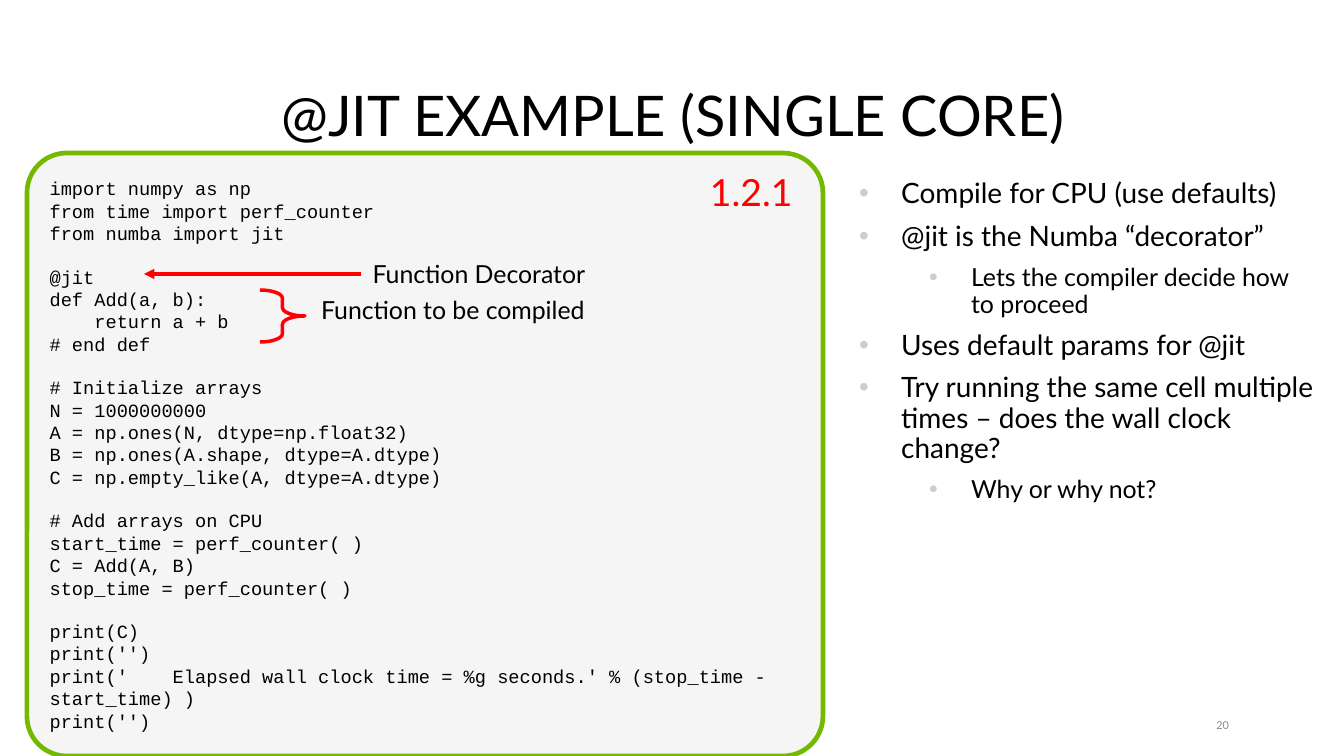
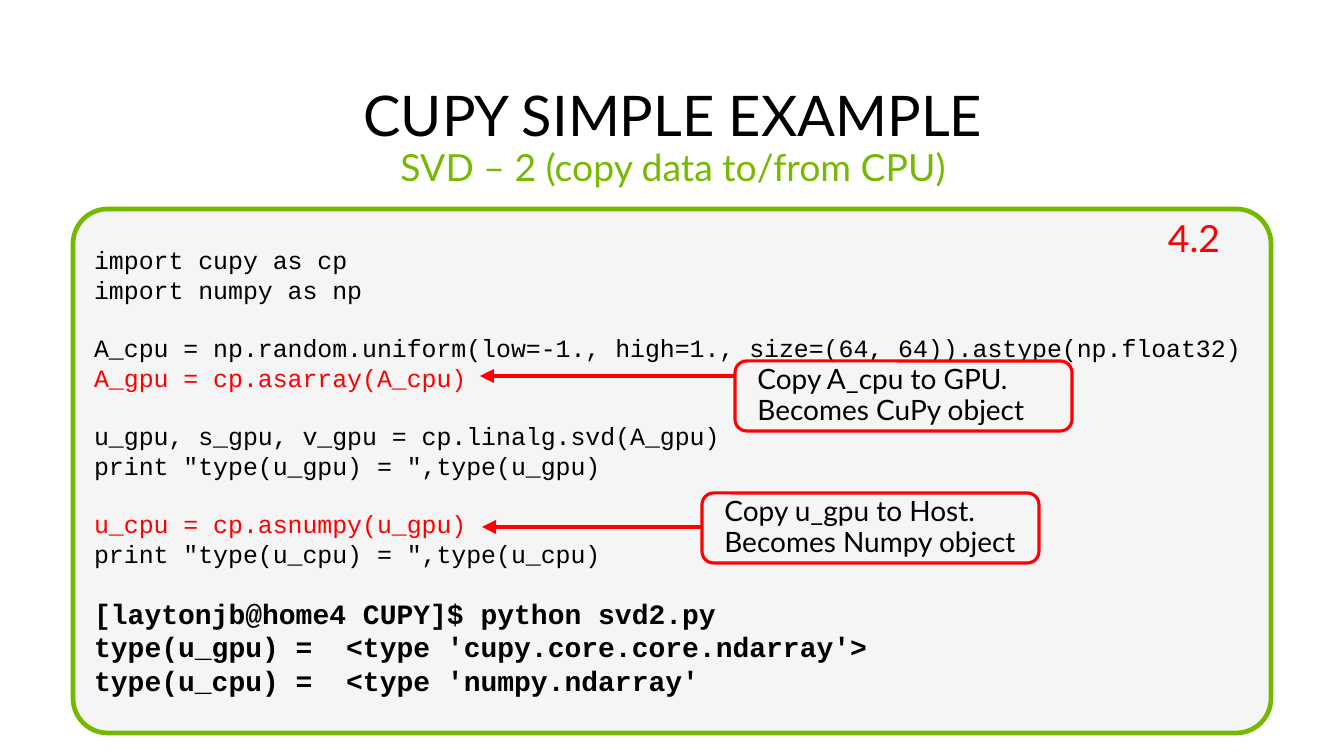
from lxml.etree import SubElement
from pptx import Presentation
from pptx.dml.color import RGBColor
from pptx.enum.shapes import MSO_CONNECTOR as Connector, MSO_SHAPE as Preset
from pptx.enum.text import MSO_ANCHOR as Anchor, MSO_AUTO_SIZE as AutoSize, PP_ALIGN as Align
from pptx.oxml.ns import qn
from pptx.util import Emu, Pt

ADD_CODE = """import numpy as np
from time import perf_counter
from numba import jit

@jit
def Add(a, b):
    return a + b
# end def

# Initialize arrays
N = 1000000000
A = np.ones(N, dtype=np.float32)
B = np.ones(A.shape, dtype=A.dtype)
C = np.empty_like(A, dtype=A.dtype)

# Add arrays on CPU
start_time = perf_counter( )
C = Add(A, B)
stop_time = perf_counter( )

print(C)
print('')
print('    Elapsed wall clock time = %g seconds.' % (stop_time - start_time) )
print('')"""

SVD_CODE = """import cupy as cp
import numpy as np

A_cpu = np.random.uniform(low=-1., high=1., size=(64, 64)).astype(np.float32)
A_gpu = cp.asarray(A_cpu)

u_gpu, s_gpu, v_gpu = cp.linalg.svd(A_gpu)
print "type(u_gpu) = ",type(u_gpu)

u_cpu = cp.asnumpy(u_gpu)
print "type(u_cpu) = ",type(u_cpu)"""

SVD_OUTPUT = """[laytonjb@home4 CUPY]$ python svd2.py
type(u_gpu) =  <type 'cupy.core.core.ndarray'>
type(u_cpu) =  <type 'numpy.ndarray'"""


def px(length):
    return Emu(round(length * 914400 / 112))


def color(hex_code):
    return RGBColor.from_string(hex_code)


class Deck:
    """Holds the shared style and draws each kind of element on the current slide."""

    TEXT_FONT, CODE_FONT = "Lato", "Courier New"
    BLACK, RED, GRAY = "000000", "FF0000", "8C8C8C"
    PANEL, BORDER, SUBTITLE, BULLET = "F5F5F5", "73B900", "76B900", "CDCDCD"
    CODE_LEADING = 1.133

    def __init__(self):
        self.presentation = Presentation()
        self.presentation.slide_width = px(1344)
        self.presentation.slide_height = px(756)
        self.slide = None

    def new_slide(self, title):
        self.slide = self.presentation.slides.add_slide(self.presentation.slide_layouts[1])
        frame = self.placeholder(0, (62, 81, 1222, 73), Anchor.BOTTOM)
        self.add_text_run(frame.paragraphs[0], title, 36, align=Align.CENTER)

    def page_number(self, number):
        self.text((1190, 718, 39, 17), number, 7, self.GRAY, Align.RIGHT, inset=0)

    def add_text_run(self, paragraph, text, size, hex_code=BLACK, align=Align.LEFT,
                     font=TEXT_FONT, bold=False, spacing=0.9):
        paragraph.alignment = align
        paragraph.line_spacing = spacing
        run = paragraph.add_run()
        run.text = text
        run.font.name = font
        run.font.size = Pt(size)
        run.font.bold = bold
        run.font.color.rgb = color(hex_code)

    def prepare(self, frame, anchor=Anchor.MIDDLE):
        frame.word_wrap = True
        frame.auto_size = AutoSize.NONE
        frame.vertical_anchor = anchor
        return frame

    def placeholder(self, index, box, anchor):
        shape = self.slide.placeholders[index]
        shape.left, shape.top, shape.width, shape.height = map(px, box)
        return self.prepare(shape.text_frame, anchor)

    def text(self, box, text, size, hex_code=BLACK, align=Align.LEFT, inset=11):
        frame = self.prepare(self.slide.shapes.add_textbox(*map(px, box)).text_frame)
        frame.margin_left = frame.margin_right = px(inset)
        if not inset:
            frame.margin_top = frame.margin_bottom = 0
        self.add_text_run(frame.paragraphs[0], text, size, hex_code, align)

    def subtitle(self, text):
        paragraph = self.placeholder(1, (62, 144, 1222, 64), Anchor.TOP).paragraphs[0]
        properties = paragraph._p.get_or_add_pPr()
        properties.set("marL", "0")
        properties.set("indent", "0")
        SubElement(properties, qn("a:buNone"))
        paragraph.space_before = Pt(0)
        self.add_text_run(paragraph, text, 24, self.SUBTITLE, Align.CENTER)

    def bullets(self, box, items):
        frame = self.placeholder(1, box, Anchor.TOP)
        for index, (level, text) in enumerate(items):
            paragraph = frame.add_paragraph() if index else frame.paragraphs[0]
            paragraph.level = level
            properties = paragraph._p.get_or_add_pPr()
            properties.set("marL", str(px(112 if level else 42)))
            properties.set("indent", str(-px(42)))
            bullet_color = SubElement(properties, qn("a:buClr"))
            SubElement(bullet_color, qn("a:srgbClr"), val=self.BULLET)
            SubElement(properties, qn("a:buFont"), typeface="Arial")
            SubElement(properties, qn("a:buChar"), char="•")
            paragraph.space_before = Pt(4 if index else 0)
            paragraph.space_after = Pt(4)
            self.add_text_run(paragraph, text, 16 if level else 18)

    def outline(self, preset, box, hex_code, width, fill=None):
        shape = self.slide.shapes.add_shape(preset, *map(px, box))
        shape.shadow.inherit = False
        shape.line.color.rgb = color(hex_code)
        shape.line.width = Pt(width)
        if fill:
            shape.fill.solid()
            shape.fill.fore_color.rgb = color(fill)
        else:
            shape.fill.background()
        return shape

    def code(self, box, size, code, output="", red_starts=()):
        panel = self.outline(Preset.ROUNDED_RECTANGLE, box, self.BORDER, 3, self.PANEL)
        panel.adjustments[0] = 0.066
        frame = self.prepare(panel.text_frame)
        lines = [(line, size, False) for line in code.splitlines()]
        lines += [(line, 18, True) for line in output.splitlines()]
        paragraph, gap = frame.paragraphs[0], 0
        for index, (line, line_size, bold) in enumerate(lines):
            if not line or (bold and not lines[index - 1][2]):
                gap = size * self.CODE_LEADING
            if not line:
                continue
            if index:
                paragraph = frame.add_paragraph()
            paragraph.space_before = Pt(gap)
            gap = 0
            red = line.startswith(red_starts)
            self.add_text_run(paragraph, line, line_size, self.RED if red else self.BLACK,
                              font=self.CODE_FONT, bold=bold, spacing=1.0)

    def arrow(self, start, end, y, width):
        connector = self.slide.shapes.add_connector(
            Connector.STRAIGHT, px(start), px(y), px(end), px(y))
        connector.line.color.rgb = color(self.RED)
        connector.line.width = Pt(width)
        properties = connector._element.spPr
        SubElement(properties.get_or_add_ln(), qn("a:tailEnd"), type="triangle")
        SubElement(properties, qn("a:effectLst"))

    def brace(self, box):
        self.outline(Preset.RIGHT_BRACE, box, self.RED, 2.25).adjustments[0] = 0.183

    def callout(self, left, top, arrow_end, arrow_y, text):
        self.arrow(left, arrow_end, arrow_y, 3)
        shape = self.outline(Preset.ROUNDED_RECTANGLE, (left, top, 337, 70), self.RED, 2)
        frame = self.prepare(shape.text_frame)
        frame.margin_left, frame.margin_right = px(19), 0
        self.add_text_run(frame.paragraphs[0], text, 18)


def main():
    deck = Deck()

    deck.new_slide("@JIT EXAMPLE (SINGLE CORE)")
    deck.page_number("20")
    deck.code((27, 153, 796, 603), 12, ADD_CODE)
    deck.arrow(361, 144, 274, 2.25)
    deck.text((360, 256, 238, 38), "Function Decorator", 16, align=Align.CENTER)
    deck.brace((260, 290, 45, 52))
    deck.text((304, 292, 298, 38), "Function to be compiled", 16, align=Align.CENTER)
    deck.bullets((848, 174, 477, 548), [
        (0, "Compile for CPU (use defaults)"),
        (0, "@jit is the Numba “decorator”"),
        (1, "Lets the compiler decide how to proceed"),
        (0, "Uses default params for @jit"),
        (0, "Try running the same cell multiple times – does the wall clock change?"),
        (1, "Why or why not?"),
    ])
    deck.text((699, 168, 110, 52), "1.2.1", 24, deck.RED)

    deck.new_slide("CUPY SIMPLE EXAMPLE")
    deck.code((73, 209, 1198, 524), 16, SVD_CODE, SVD_OUTPUT, ("A_gpu =", "u_cpu ="))
    deck.subtitle("SVD – 2 (copy data to/from CPU)")
    deck.callout(702, 493, 482, 527, "Copy u_gpu to Host. Becomes Numpy object")
    deck.callout(735, 361, 480, 376, "Copy A_cpu to GPU. Becomes CuPy object")
    deck.text((1157, 214, 76, 52), "4.2", 24, deck.RED)

    deck.presentation.save("out.pptx")


if __name__ == "__main__":
    main()
